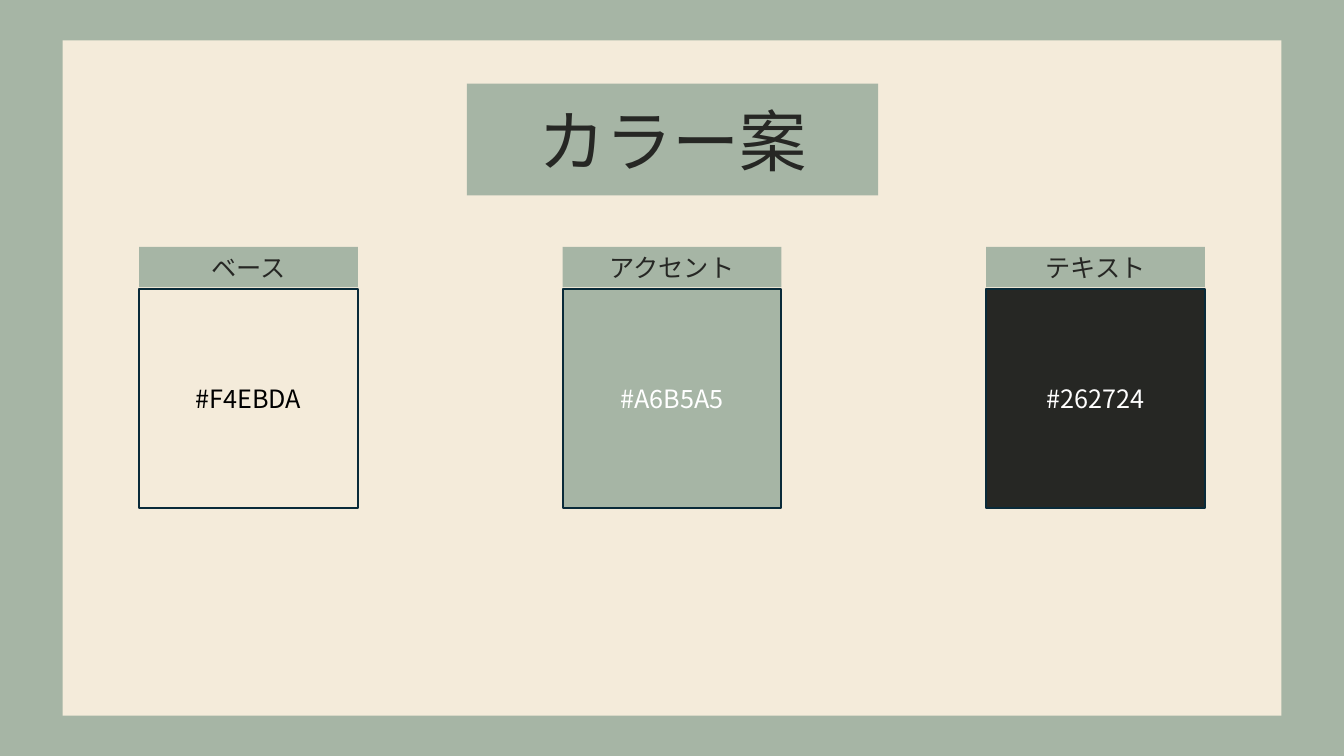
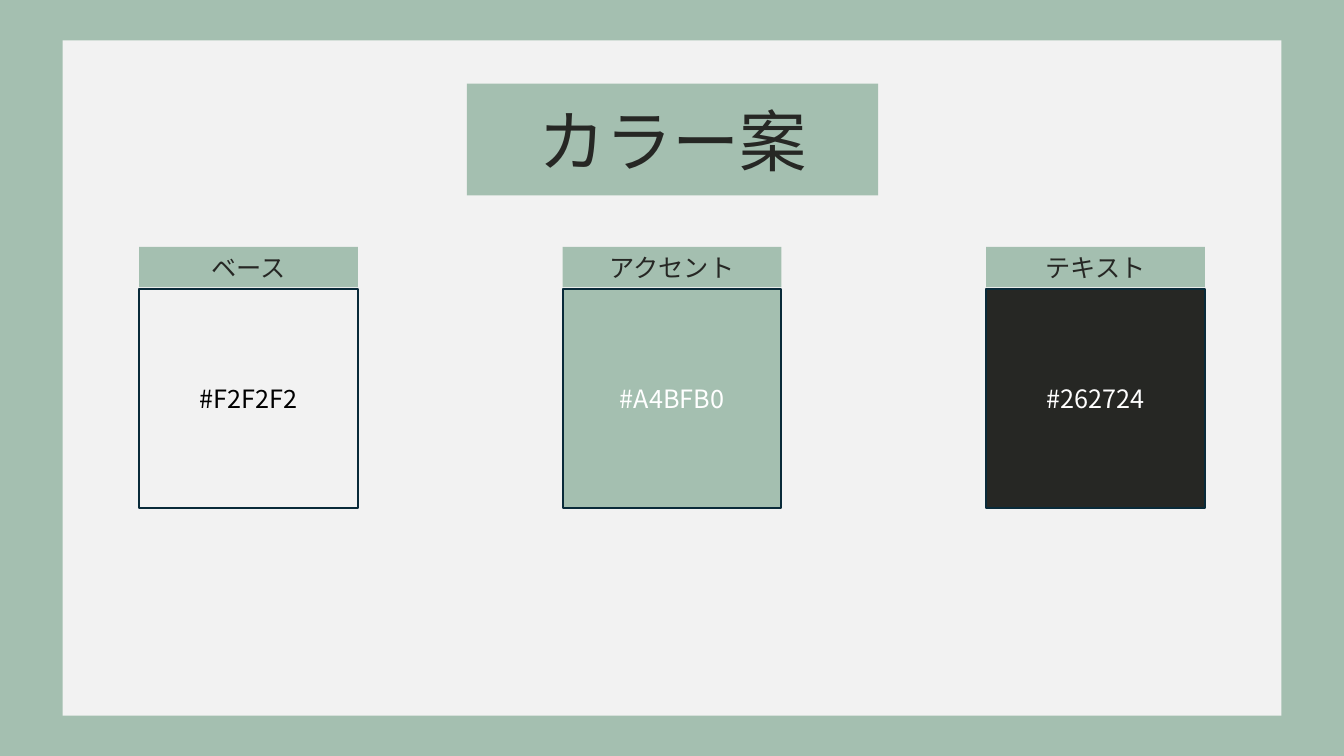
from pptx import Presentation
from pptx import util as u
from pptx.dml.color import RGBColor
from pptx.enum import shapes, text
from lxml import etree

TITLE = "カラー案"
LABELS = ["ベース", "アクセント", "テキスト"]
# Base, accent and text colour of each scheme
SCHEMES = [
    ("F4EBDA", "A6B5A5", "262724"),
    ("F2F2F2", "A4BFB0", "262724"),
]
THEME = {
    "font": "Noto Sans CJK JP",
    "edge": "092A39",
    "codes": ("000000", "FFFFFF", "FFFFFF"),
    "title": 48,
    "body": 18,
    "line": 1.5,
}

PX = u.Inches(1) // 100
PAGE = (0, 0, 1333, 750)
PANEL = (62, 40, 1209, 670)
BANNER = (463, 83, 408, 111)
LEFT, STEP, SIDE = 138, 420, 217
LABEL_TOP, LABEL_HIGH, SWATCH_TOP = 245, 40, 287
DRAWING = "http://schemas.openxmlformats.org/drawingml/2006/main"


def paint(shape, fill, edge=None):
    shape.fill.solid()
    shape.fill.fore_color.rgb = RGBColor.from_string(fill)
    if edge:
        shape.line.color.rgb = RGBColor.from_string(edge)
        shape.line.width = u.Pt(THEME["line"])
    else:
        shape.line.fill.background()


def add_box(slide, at, fill, edge=None):
    kind = shapes.MSO_SHAPE.RECTANGLE
    box = slide.shapes.add_shape(kind, *(n * PX for n in at))
    box.shadow.inherit = False
    paint(box, fill, edge)
    return box


def write(shape, words, color, size, **extra):
    """Set centred text; extra overrides the text frame format."""
    frame = shape.text_frame
    look = {
        "word_wrap": True,
        "auto_size": text.MSO_AUTO_SIZE.NONE,
        "vertical_anchor": text.MSO_ANCHOR.MIDDLE,
    }
    for key, value in {**look, **extra}.items():
        setattr(frame, key, value)
    para = frame.paragraphs[0]
    para.alignment = text.PP_ALIGN.CENTER
    run = para.add_run()
    run.text = words
    run.font.size = u.Pt(size)
    run.font.color.rgb = RGBColor.from_string(color)
    run.font.name = THEME["font"]
    props = run._r.get_or_add_rPr()
    etree.SubElement(props, f"{{{DRAWING}}}ea", typeface=THEME["font"])


def add_title(slide, fill, ink):
    title = slide.shapes.title
    title.element.getparent().append(title.element)  # bring above the panel
    for side, n in zip(("left", "top", "width", "height"), BANNER):
        setattr(title, side, n * PX)
    paint(title, fill)
    write(title, TITLE, ink, THEME["title"])


def add_scheme(deck, scheme):
    base, accent, ink = scheme
    slide = deck.slides.add_slide(deck.slide_layouts[5])
    add_box(slide, PAGE, accent)
    add_box(slide, PANEL, base)
    add_title(slide, accent, ink)
    for i, (label, fill, code) in enumerate(zip(LABELS, scheme, THEME["codes"])):
        x = LEFT + i * STEP
        swatch = add_box(slide, (x, SWATCH_TOP, SIDE, SIDE), fill, THEME["edge"])
        write(swatch, f"#{fill}", code, THEME["body"])
        tag = add_box(slide, (x, LABEL_TOP, SIDE, LABEL_HIGH), accent)
        write(tag, label, ink, THEME["body"],
              auto_size=text.MSO_AUTO_SIZE.SHAPE_TO_FIT_TEXT,
              vertical_anchor=text.MSO_ANCHOR.TOP)


def main():
    deck = Presentation()
    deck.slide_width, deck.slide_height = (n * PX for n in PAGE[2:])
    for scheme in SCHEMES:
        add_scheme(deck, scheme)
    deck.save("out.pptx")


if __name__ == "__main__":
    main()
